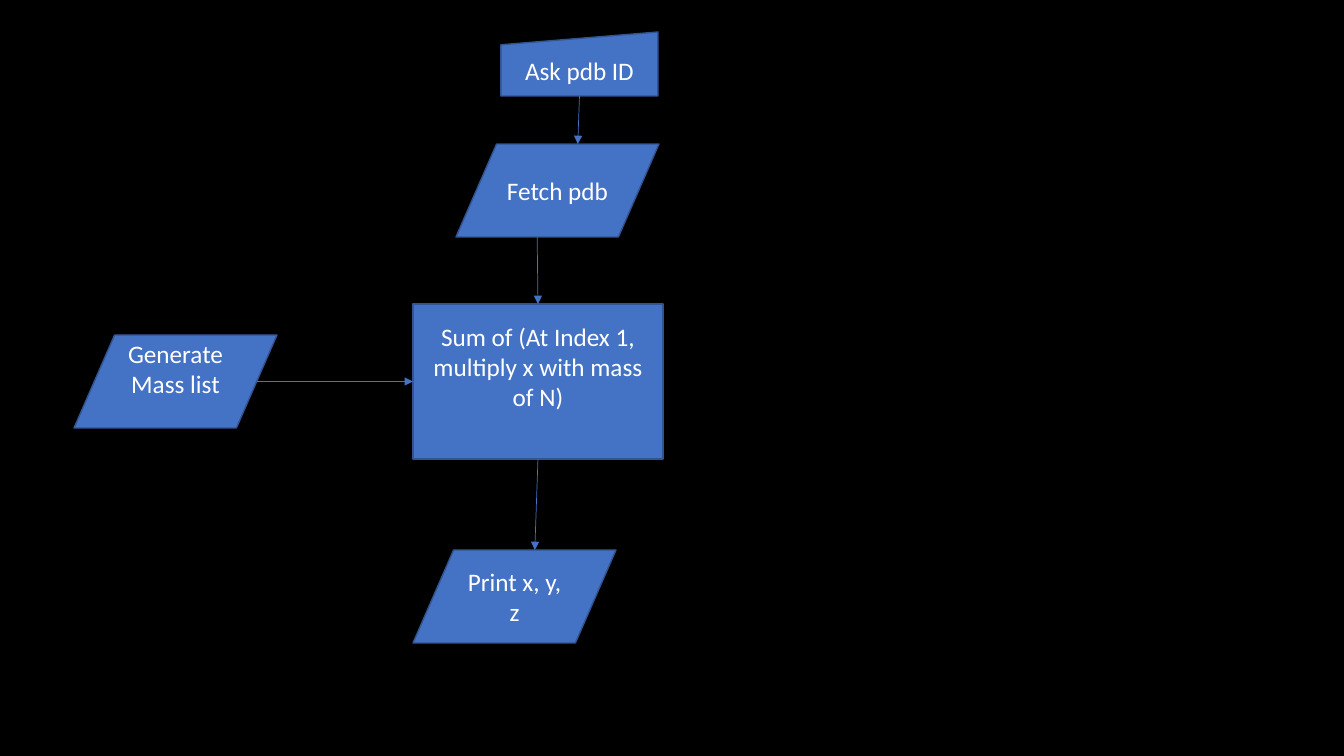
from lxml import etree
from pptx import Presentation
from pptx.dml.color import RGBColor
from pptx.enum.shapes import MSO_CONNECTOR, MSO_SHAPE
from pptx.enum.text import MSO_ANCHOR, PP_ALIGN
from pptx.oxml.ns import qn
from pptx.util import Pt

PIXEL = 914400 / 100.8
BLACK = RGBColor(0x00, 0x00, 0x00)
WHITE = RGBColor(0xFF, 0xFF, 0xFF)
BLUE = RGBColor(0x44, 0x72, 0xC4)
DARK_BLUE = RGBColor(0x32, 0x54, 0x91)
PROCESS = MSO_SHAPE.FLOWCHART_PROCESS
DATA = MSO_SHAPE.FLOWCHART_DATA
MANUAL_INPUT = MSO_SHAPE.FLOWCHART_MANUAL_INPUT
STRAIGHT = MSO_CONNECTOR.STRAIGHT
CENTER = PP_ALIGN.CENTER
MIDDLE = MSO_ANCHOR.MIDDLE
DATA_SIZE = (203, 93)
TOP, BOTTOM, LEFT, RIGHT = (0.5, 0), (0.5, 1), (0, 0.5), (1, 0.5)
DATA_TOP, DATA_BOTTOM, DATA_RIGHT = (0.6, 0), (0.4, 1), (0.9, 0.5)


def emu(pixels):
    """Convert pixels to EMU."""
    return round(pixels * PIXEL)


class Flowchart:
    """Hold the style and the current slide of a flowchart."""

    def __init__(self, page):
        """Prepare a black page."""
        self.page = page
        self.font = "Calibri"
        self.size = Pt(18)
        page.background.fill.solid()
        page.background.fill.fore_color.rgb = BLACK

    def step(self, kind, words, left, top, size, bottom_inset=5):
        """Add one labelled flowchart step."""
        box = self.page.shapes.add_shape(kind, *map(emu, (left, top, *size)))
        box.shadow.inherit = False
        box.fill.solid()
        box.fill.fore_color.rgb = BLUE
        box.line.color.rgb = DARK_BLUE
        box.line.width = Pt(1)
        frame = box.text_frame
        frame.word_wrap = True
        frame.vertical_anchor = MIDDLE
        frame.margin_bottom = emu(bottom_inset)
        frame.text = words
        para = frame.paragraphs[0]
        para.alignment = CENTER
        font = para.runs[0].font
        font.name, font.size, font.color.rgb = self.font, self.size, WHITE
        return box

    def arrow(self, source, start, target, end):
        """Add an arrow between fractional points of two steps."""
        points = [
            round(value)
            for box, (across, down) in ((source, start), (target, end))
            for value in (box.left + across * box.width, box.top + down * box.height)
        ]
        link = self.page.shapes.add_connector(STRAIGHT, *points)
        link.line.color.rgb = BLUE
        link.line.width = Pt(0.5)
        etree.SubElement(link.line._get_or_add_ln(), qn("a:tailEnd"), type="triangle")
        etree.SubElement(link._element.spPr, qn("a:effectLst"))


deck = Presentation()
deck.slide_width, deck.slide_height = emu(1344), emu(756)
chart = Flowchart(deck.slides.add_slide(deck.slide_layouts[6]))

ask = chart.step(MANUAL_INPUT, "Ask pdb ID", 501, 32, (157, 64))
fetch = chart.step(DATA, "Fetch pdb", 456, 144, DATA_SIZE)
mass = chart.step(DATA, "Generate Mass list", 74, 335, DATA_SIZE, 31)
total = chart.step(
    PROCESS, "Sum of (At Index 1, multiply x with mass of N)", 413, 304, (250, 155), 35
)
result = chart.step(DATA, "Print x, y, z", 413, 550, DATA_SIZE)

chart.arrow(ask, BOTTOM, fetch, DATA_TOP)
chart.arrow(fetch, DATA_BOTTOM, total, TOP)
chart.arrow(mass, DATA_RIGHT, total, LEFT)
chart.arrow(total, BOTTOM, result, DATA_TOP)

deck.save("out.pptx")
